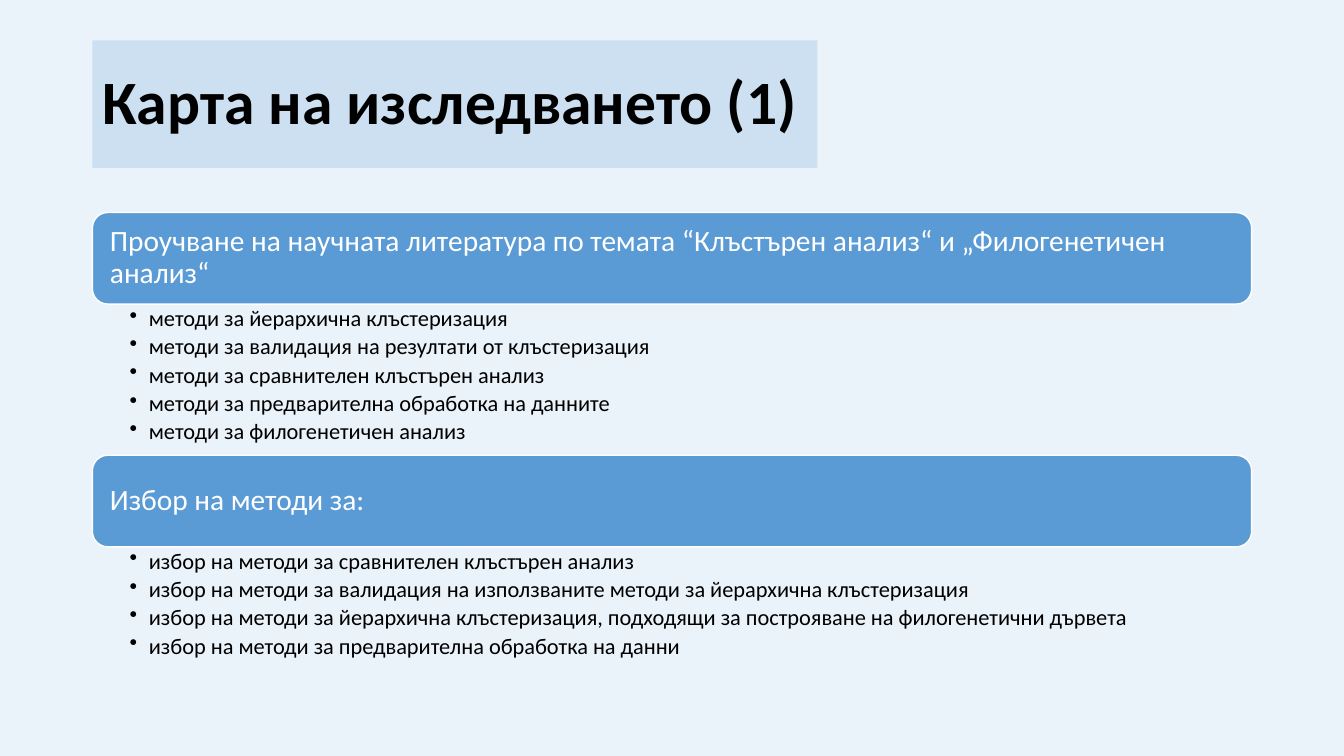
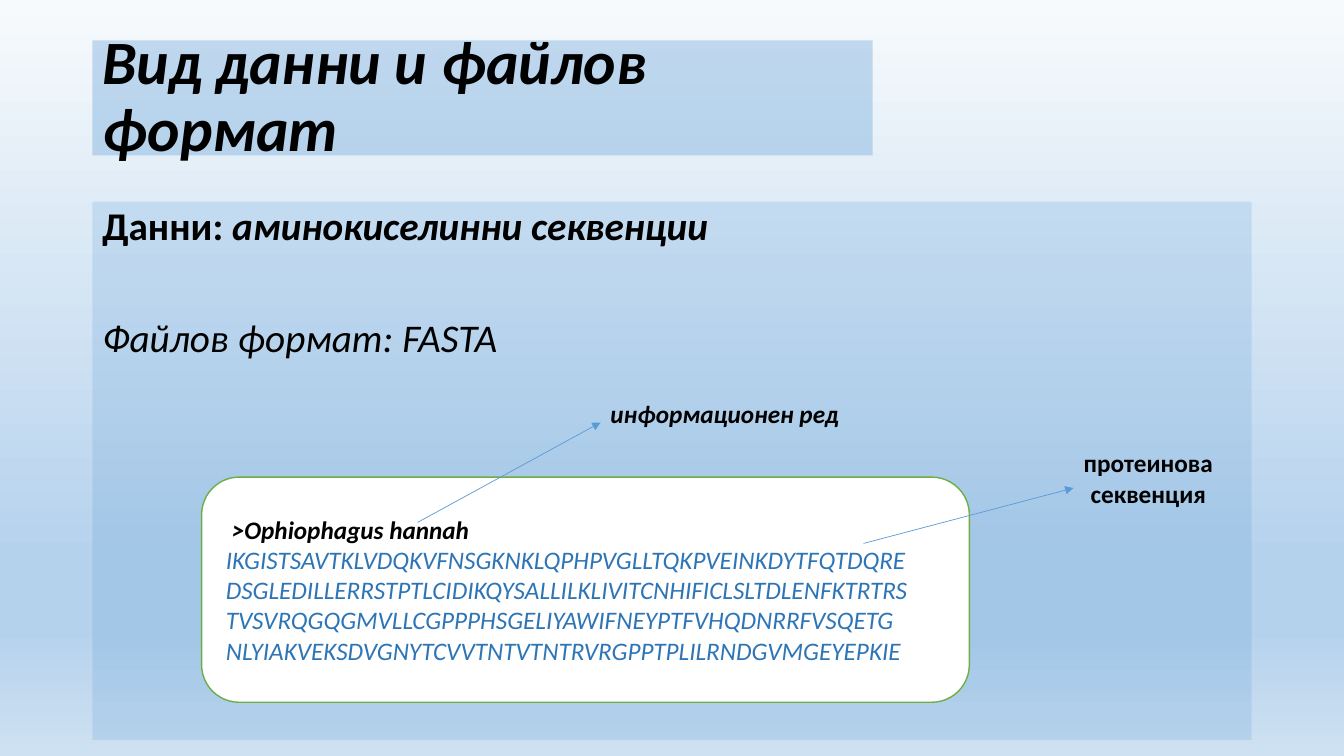
import dataclasses

import lxml.etree
import pptx
import pptx.dml.color
import pptx.enum.shapes
import pptx.enum.text
import pptx.oxml.ns
import pptx.util

SHAPES = pptx.enum.shapes.MSO_SHAPE
ANCHORS = pptx.enum.text.MSO_ANCHOR
ALIGNS = pptx.enum.text.PP_ALIGN
qn = pptx.oxml.ns.qn


@dataclasses.dataclass(frozen=True)
class Type:
    """Describe the size, colour and weight of a text."""
    size: float
    color: str = "000000"
    bold: bool = False
    italic: bool = False


@dataclasses.dataclass(frozen=True)
class Theme:
    """Hold the colours and type styles of the deck."""
    font: str = "Calibri"
    blue: str = "5B9BD5"
    green: str = "70AD47"
    white: str = "FFFFFF"
    pale: str = "EBF3FA"
    sky: tuple = ((0, "F7FAFD"), (74, "B5D2EC"), (83, "B5D2EC"), (100, "CEE1F2"))
    title: Type = Type(44, bold=True)
    title_italic: Type = Type(44, bold=True, italic=True)
    band: Type = Type(21, "FFFFFF")
    bullet: Type = Type(16)
    body_bold: Type = Type(28, bold=True)
    body_strong: Type = Type(28, bold=True, italic=True)
    body_italic: Type = Type(28, italic=True)
    label: Type = Type(18, bold=True)
    label_italic: Type = Type(18, bold=True, italic=True)
    sequence: Type = Type(18, "2E75B6", italic=True)


class Builder:
    """Draw styled elements on a grid of 160 columns and 90 rows."""
    COLUMNS, ROWS = 160, 90
    LEFT, WIDTH, TITLE_TOP = 11, 138, 4.8

    def __init__(self, theme):
        """Start an empty wide deck."""
        self.theme = theme
        self.deck = pptx.Presentation()
        self.deck.slide_width = pptx.util.Inches(13.33)
        self.deck.slide_height = pptx.util.Inches(7.5)
        self.page = None

    def place(self, *numbers):
        """Turn alternating columns and rows into lengths."""
        units = (self.deck.slide_width / self.COLUMNS, self.deck.slide_height / self.ROWS)
        return [round(number * units[i % 2]) for i, number in enumerate(numbers)]

    def color(self, value):
        """Return a colour object."""
        return pptx.dml.color.RGBColor.from_string(value)

    def fill(self, shape, color, opacity=100):
        """Fill a shape with a colour of the given opacity in percent."""
        shape.fill.solid()
        shape.fill.fore_color.rgb = self.color(color)
        if opacity < 100:
            tint = shape.element.spPr.find(".//" + qn("a:srgbClr"))
            lxml.etree.SubElement(tint, qn("a:alpha"), val=str(opacity * 1000))

    def slide(self, title, style, width, height, opacity):
        """Add a slide with a tinted title."""
        self.page = self.deck.slides.add_slide(self.deck.slide_layouts[5])
        box = self.page.shapes.title
        box.left, box.top, box.width, box.height = self.place(
            self.LEFT, self.TITLE_TOP, width, height)
        self.fill(box, self.theme.blue, opacity)
        self.set_text(box, [[(title, style)]], anchor=ANCHORS.MIDDLE, spacing=0.9)

    def plain_background(self, color):
        """Give the slide a plain background."""
        self.page.background.fill.solid()
        self.page.background.fill.fore_color.rgb = self.color(color)

    def gradient_background(self, stops):
        """Give the slide a background that changes from top to bottom."""
        fill = self.page.background.fill
        fill.gradient()
        fill.gradient_angle = 270
        stop_list = self.page.element.find(".//" + qn("a:gsLst"))
        stop_list.clear()
        for position, color in stops:
            stop = lxml.etree.SubElement(stop_list, qn("a:gs"), pos=str(position * 1000))
            lxml.etree.SubElement(stop, qn("a:srgbClr"), val=color)

    def shape(self, kind, at, color, line=None, opacity=100):
        """Add a filled shape, outlined if a line colour is given."""
        box = self.page.shapes.add_shape(kind, *self.place(*at))
        box.shadow.inherit = False
        self.fill(box, color, opacity)
        if line:
            box.line.color.rgb = self.color(line)
            box.line.width = pptx.util.Pt(1)
        else:
            box.line.fill.background()
        return box

    def text(self, at, paragraphs, **options):
        """Add a text box."""
        box = self.page.shapes.add_textbox(*self.place(*at))
        self.set_text(box, paragraphs, **options)
        return box

    def set_text(self, box, paragraphs, anchor=ANCHORS.TOP, align=ALIGNS.LEFT, spacing=1.0,
                 gap=0, after=0, insets=(0.1, 0.05, 0.1, 0.05), bullets=False):
        """Put paragraphs, each a list of text and style pairs, into a box."""
        frame = box.text_frame
        frame.word_wrap = True
        frame.auto_size = pptx.enum.text.MSO_AUTO_SIZE.NONE
        frame.vertical_anchor = anchor
        frame.margin_left, frame.margin_top, frame.margin_right, frame.margin_bottom = (
            pptx.util.Inches(inset) for inset in insets)
        frame.text = "\n".join(spans[0][0] for spans in paragraphs)
        for index, (para, spans) in enumerate(zip(frame.paragraphs, paragraphs)):
            para.alignment = align
            para.line_spacing = spacing
            para.space_before = pptx.util.Pt(gap if index else 0)
            para.space_after = pptx.util.Pt(after)
            if bullets:
                self.indent(para, 0.19, -0.19)
                lxml.etree.SubElement(para._p.get_or_add_pPr(), qn("a:buChar"), char="•")
            for words, _ in spans[1:]:
                para.add_run().text = words
            for span, (_, style) in zip(para.runs, spans):
                self.style(span.font, style)

    def indent(self, para, left, first=0):
        """Indent a paragraph by inches."""
        properties = para._p.get_or_add_pPr()
        properties.set("marL", str(pptx.util.Inches(left)))
        properties.set("indent", str(pptx.util.Inches(first)))

    def style(self, font, style):
        """Apply a type style to a font."""
        font.name = self.theme.font
        font.size = pptx.util.Pt(style.size)
        font.bold, font.italic = style.bold, style.italic
        font.color.rgb = self.color(style.color)

    def arrow(self, start, end):
        """Draw a thin arrow between two grid points."""
        line = self.page.shapes.add_connector(
            pptx.enum.shapes.MSO_CONNECTOR.STRAIGHT, *self.place(*start, *end))
        line.line.color.rgb = self.color(self.theme.blue)
        line.line.width = pptx.util.Pt(0.5)
        lxml.etree.SubElement(line.line._get_or_add_ln(), qn("a:tailEnd"), type="triangle")
        lxml.etree.SubElement(line.element.spPr, qn("a:effectLst"))

    def section(self, top, heading, items):
        """Add a heading band with its bullets and return the row below."""
        theme, band_height, item_height = self.theme, 10.9, 3.6
        band = self.shape(SHAPES.ROUNDED_RECTANGLE, (self.LEFT, top, self.WIDTH, band_height),
                          theme.blue, theme.white)
        self.set_text(band, [[(heading, theme.band)]], anchor=ANCHORS.MIDDLE, spacing=0.9,
                      insets=(0.13,) * 4)
        top += band_height
        height = item_height * len(items)
        self.text((self.LEFT, top, self.WIDTH, height),
                  [[(item, theme.bullet)] for item in items],
                  spacing=0.9, after=3, insets=(0.37, 0.03, 0.16, 0.03), bullets=True)
        return top + height


def research_map(builder):
    """Build the slide with the research map."""
    builder.slide("Карта на изследването (1)", builder.theme.title, 86.3, 15.2, 21)
    builder.plain_background(builder.theme.pale)
    sections = (
        ("Проучване на научната литература по темата “Клъстърен анализ“ и „Филогенетичен анализ“",
         ("методи за йерархична клъстеризация",
          "методи за валидация на резултати от клъстеризация",
          "методи за сравнителен клъстърен анализ",
          "методи за предварителна обработка на данните",
          "методи за филогенетичен анализ")),
        ("Избор на методи за:",
         ("избор на методи за сравнителен клъстърен анализ",
          "избор на методи за валидация на използваните методи за йерархична клъстеризация",
          "избор на методи за йерархична клъстеризация, подходящи за построяване на "
          "филогенетични дървета",
          "избор на методи за предварителна обработка на данни")),
    )
    top = 25.3
    for heading, items in sections:
        top = builder.section(top, heading, items)


def data_format(builder):
    """Build the slide with the data and the file format."""
    theme = builder.theme
    builder.slide("Вид данни и файлов формат", theme.title_italic, 92.9, 13.7, 34)
    builder.gradient_background(theme.sky)
    panel = builder.shape(SHAPES.RECTANGLE, (builder.LEFT, 24, builder.WIDTH, 64.1),
                          theme.blue, opacity=20)
    builder.set_text(panel, [
        [("Данни: ", theme.body_bold), ("аминокиселинни секвенции", theme.body_strong)],
        [("Файлов формат: FASTA", theme.body_italic)],
    ], spacing=0.9, gap=50)
    builder.shape(SHAPES.ROUNDED_RECTANGLE, (24, 56.8, 91.4, 26.8), theme.white, theme.green)
    sequence = (
        "IKGISTSAVTKLVDQKVFNSGKNKLQPHPVGLLTQKPVEINKDYTFQTDQRE"
        "DSGLEDILLERRSTPTLCIDIKQYSALLILKLIVITCNHIFICLSLTDLENFKTRTRS"
        "TVSVRQGQGMVLLCGPPPHSGELIYAWIFNEYPTFVHQDNRRFVSQETG"
        "NLYIAKVEKSDVGNYTCVVTNTVTNTRVRGPPTPLILRNDGVMGEYEPKIE")
    record = builder.text((25.7, 60.6, 83.6, 19.4), [
        [(">Ophiophagus hannah", theme.label_italic)], [(sequence, theme.sequence)]])
    builder.indent(record.text_frame.paragraphs[0], 0.06)
    builder.arrow((49.7, 62.2), (71.5, 50.3))
    builder.text((71.5, 46.8, 31.3, 4.8), [[("информационен ред", theme.label_italic)]])
    builder.arrow((102.8, 64.7), (127.8, 58.1))
    builder.text((127.8, 52.7, 17.8, 8.5), [[("протеинова секвенция", theme.label)]],
                 align=ALIGNS.CENTER)


def main():
    """Build and save the deck."""
    builder = Builder(Theme())
    research_map(builder)
    data_format(builder)
    builder.deck.save("out.pptx")


if __name__ == "__main__":
    main()
